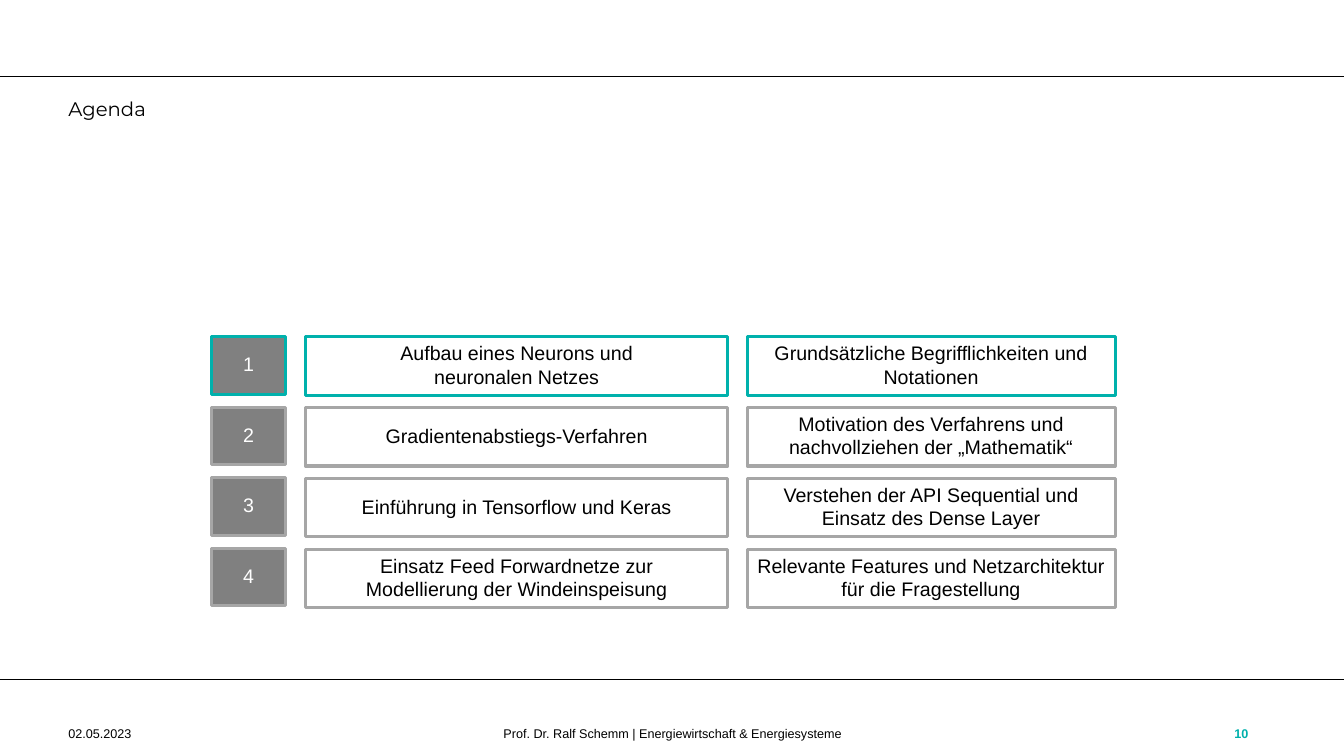
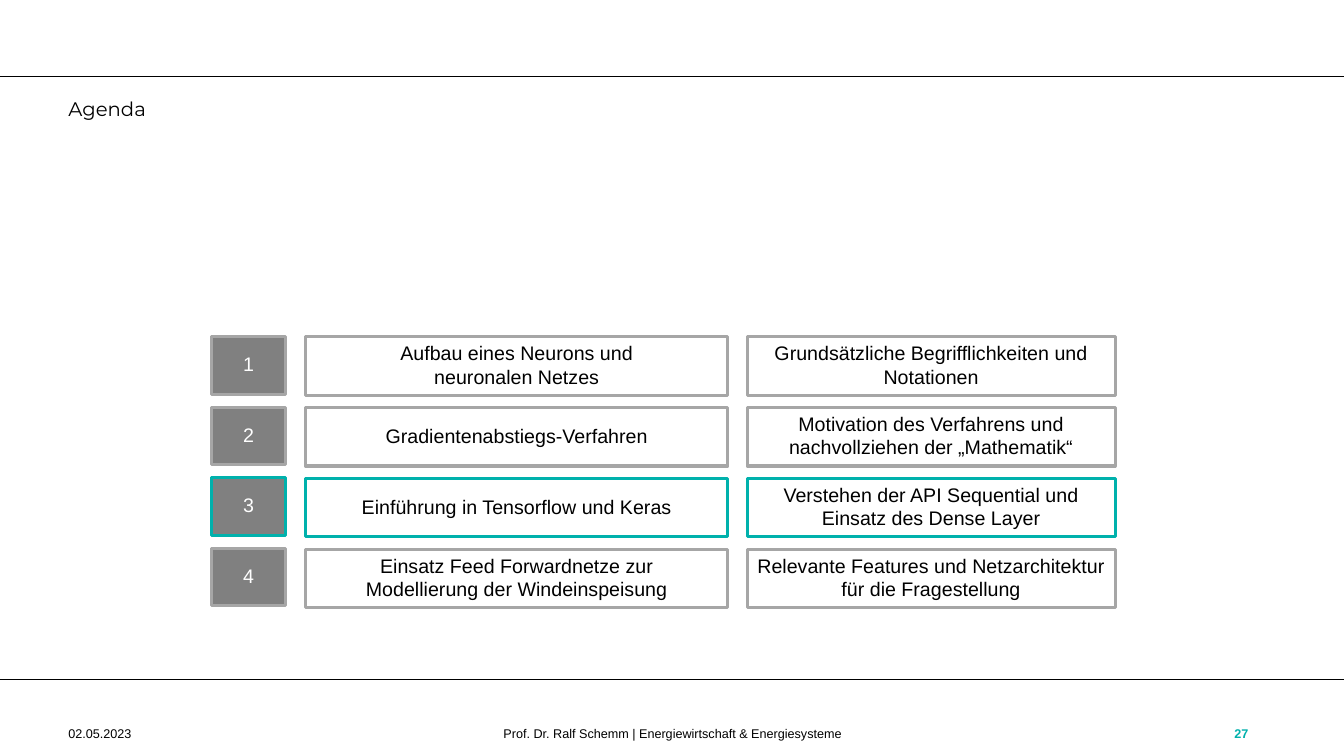
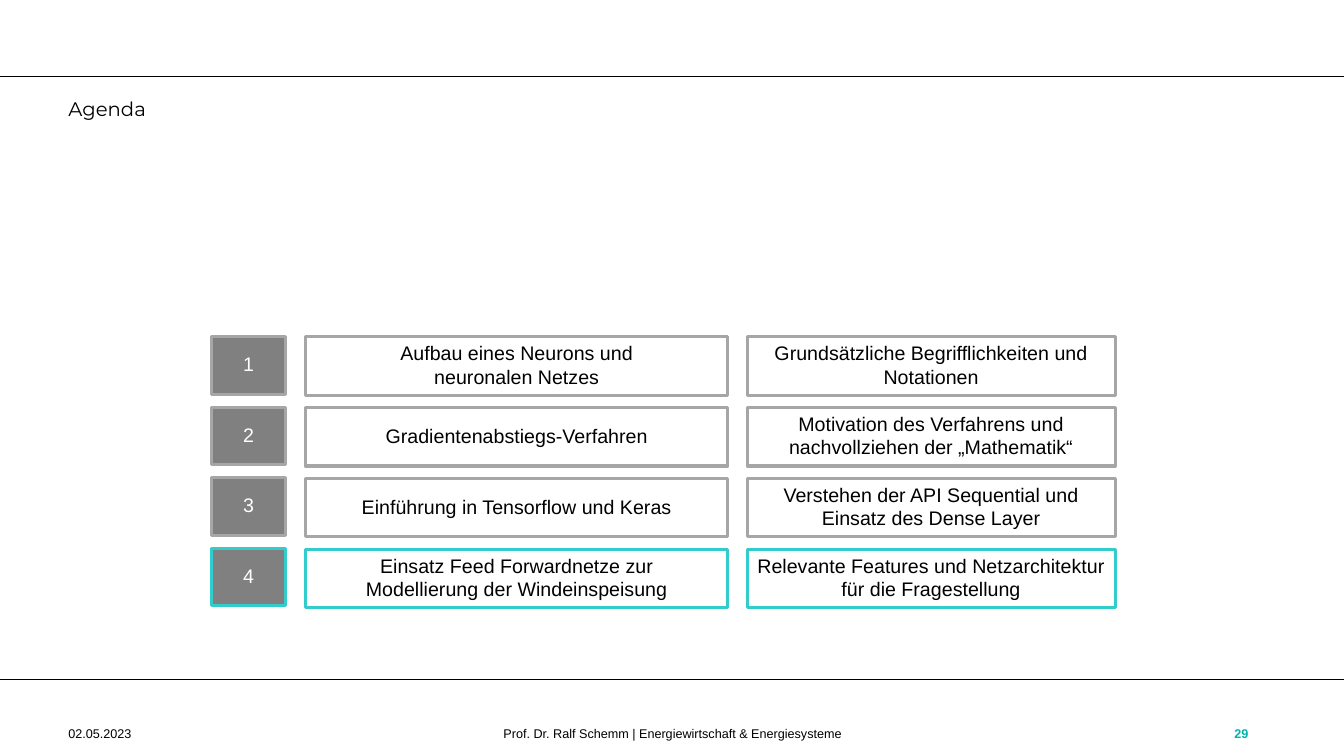
from collections import namedtuple
from dataclasses import dataclass

from lxml.etree import SubElement
from pptx import Presentation
from pptx.dml.color import RGBColor
from pptx.enum.shapes import MSO_CONNECTOR, MSO_SHAPE
from pptx.enum.text import MSO_ANCHOR, PP_ALIGN
from pptx.oxml.ns import qn
from pptx.util import Inches, Pt


@dataclass(frozen=True)
class Theme:
    ink: str = "000000"
    paper: str = "FFFFFF"
    teal: str = "00B1AC"
    aqua: str = "33CCCC"
    frame: str = "A6A6A6"
    badge: str = "808080"
    head: str = "Montserrat"
    body: str = "Arial"
    large: int = 14
    small: int = 9
    rule: float = 1
    edge: float = 2.25


Box = namedtuple("Box", "left top width height")
Col = namedtuple("Col", "left width height end fill ink")

THEME = Theme()
PAGE = Box(0, 0, 13.33, 7.5)
TABLE = Box(2.1, 3.34, 8.96, 2.69)

# Columns: left and end (top of the last row) are offsets within the table
COLS = (
    Col(0, 0.73, 0.57, 2.1, THEME.badge, THEME.paper),
    Col(0.93, 4.19, 0.58, 2.11, THEME.paper, THEME.ink),
    Col(5.31, 3.65, 0.58, 2.11, THEME.paper, THEME.ink),
)

TOPICS = (
    ("Aufbau eines Neurons und\nneuronalen Netzes",
     "Grundsätzliche Begrifflichkeiten und Notationen"),
    ("Gradientenabstiegs-Verfahren",
     "Motivation des Verfahrens und nachvollziehen der „Mathematik“"),
    ("Einführung in Tensorflow und Keras",
     "Verstehen der API Sequential und\nEinsatz des Dense Layer"),
    ("Einsatz Feed Forwardnetze zur\nModellierung der Windeinspeisung",
     "Relevante Features und Netzarchitektur für die Fragestellung"),
)

# Page number, active topic, highlight colour
PAGES = ((10, 1, THEME.teal), (27, 3, THEME.teal), (29, 4, THEME.aqua))


def color(code):
    return RGBColor.from_string(code)


def place(box):
    return [Inches(size) for size in box]


def write(frame, text, size, ink, align=PP_ALIGN.LEFT, font=THEME.body, bold=False):
    frame.word_wrap = True
    para = frame.paragraphs[0]
    para.alignment = align
    for i, line in enumerate(text.split("\n")):
        if i:
            para.add_line_break()
        run = para.add_run()
        run.text = line
        run.font.name = font
        run.font.size = Pt(size)
        run.font.bold = bold
        run.font.color.rgb = color(ink)


def label(slide, box, text, size, ink=THEME.ink, anchor=MSO_ANCHOR.MIDDLE, **style):
    frame = slide.shapes.add_textbox(*place(box)).text_frame
    frame.vertical_anchor = anchor
    write(frame, text, size, ink, **style)


def rule(slide, page, top):
    y = Inches(page.top + top)
    line = slide.shapes.add_connector(
        MSO_CONNECTOR.STRAIGHT, Inches(page.left), y,
        Inches(page.left + page.width), y)
    line.line.color.rgb = color(THEME.ink)
    line.line.width = Pt(THEME.rule)
    SubElement(line._element.spPr, qn("a:effectLst"))


def cell(slide, box, text, fill, ink, edge):
    shape = slide.shapes.add_shape(MSO_SHAPE.RECTANGLE, *place(box))
    shape.shadow.inherit = False
    shape.fill.solid()
    shape.fill.fore_color.rgb = color(fill)
    shape.line.color.rgb = color(edge)
    shape.line.width = Pt(THEME.edge)
    frame = shape.text_frame
    frame.margin_left = frame.margin_right = frame.margin_top = 0
    frame.margin_bottom = Inches(0.03)
    frame.vertical_anchor = MSO_ANCHOR.MIDDLE
    write(frame, text, THEME.large, ink, PP_ALIGN.CENTER)


def header(slide, page, title):
    rule(slide, page, 0.76)
    box = Box(page.left + 0.58, page.top + 0.91, 11.91, 0.55)
    label(slide, box, title, THEME.large, anchor=MSO_ANCHOR.TOP, font=THEME.head)


def footer(slide, page, number):
    rule(slide, page, 6.74)
    parts = (
        (0.58, 1.89, "02.05.2023", {}),
        (3.52, 6.3, "Prof. Dr. Ralf Schemm | Energiewirtschaft & Energiesysteme",
         {"align": PP_ALIGN.CENTER}),
        (11.6, 0.88, str(number),
         {"align": PP_ALIGN.RIGHT, "ink": THEME.teal, "bold": True}),
    )
    for left, width, text, style in parts:
        box = Box(page.left + left, page.top + 7.08, width, 0.4)
        label(slide, box, text, THEME.small, **style)


def agenda(slide, area, active, accent):
    for row, topic in enumerate(TOPICS):
        edge = accent if row + 1 == active else THEME.frame
        for col, text in zip(COLS, (str(row + 1), *topic)):
            top = area.top + row * col.end / (len(TOPICS) - 1)
            box = Box(area.left + col.left, top, col.width, col.height)
            cell(slide, box, text, col.fill, col.ink, edge)


def main():
    deck = Presentation()
    deck.slide_width = Inches(PAGE.width)
    deck.slide_height = Inches(PAGE.height)
    for number, active, accent in PAGES:
        slide = deck.slides.add_slide(deck.slide_layouts[6])
        header(slide, PAGE, "Agenda")
        footer(slide, PAGE, number)
        agenda(slide, TABLE, active, accent)
    deck.save("out.pptx")


if __name__ == "__main__":
    main()
